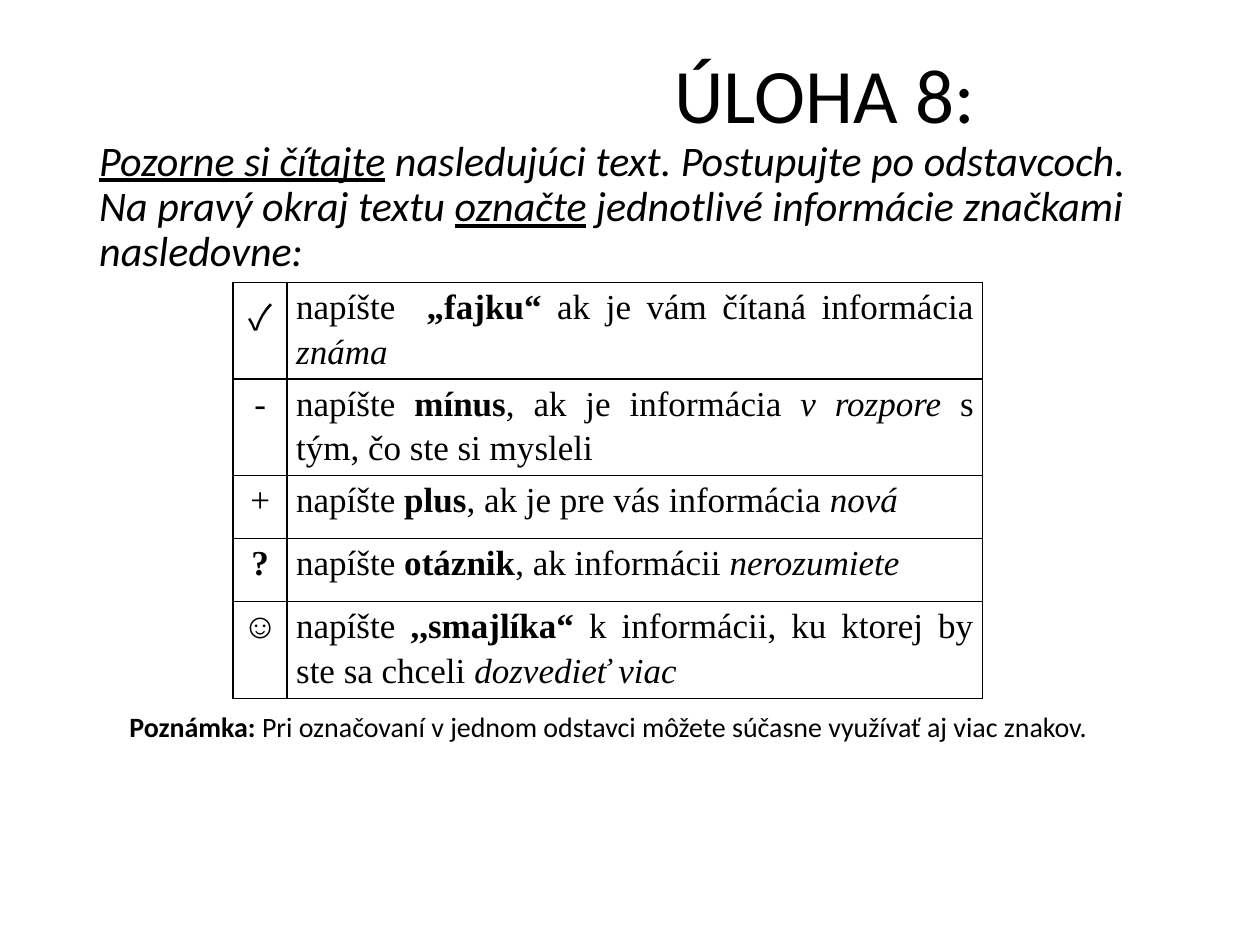
import lxml.etree
import pptx
import pptx.dml.color
import pptx.enum.text
import pptx.oxml.ns
import pptx.util
from pptx.util import Cm, Pt

BLACK = pptx.dml.color.RGBColor(0, 0, 0)
ALIGN = pptx.enum.text.PP_ALIGN
ANCHOR = pptx.enum.text.MSO_ANCHOR
SERIF = "Times New Roman"

INSTRUCTION = [
    ("Pozorne si čítajte", "underline"),
    (" nasledujúci text. Postupujte po odstavcoch. Na pravý okraj textu ", None),
    ("označte", "underline"),
    (" jednotlivé informácie značkami nasledovne:", None),
]
NOTE = [
    ("Poznámka:", "bold"),
    (" Pri označovaní v jednom odstavci môžete súčasne využívať aj viac znakov.", None),
]
# Each row: height in cm, mark, font of the mark, style of the mark, meaning
MARKS = [
    (1.8, "✓", "Noto Sans CJK JP", None,
     [("napíšte  ", None), ("„fajku“", "bold"),
      (" ak je vám čítaná informácia ", None), ("známa", "italic")]),
    (1.8, "-", SERIF, None,
     [("napíšte ", None), ("mínus", "bold"), (", ak je informácia ", None),
      ("v rozpore", "italic"), (" s tým, čo ste si mysleli", None)]),
    (1.27, "+", SERIF, None,
     [("napíšte ", None), ("plus", "bold"),
      (", ak je pre vás informácia ", None), ("nová", "italic")]),
    (1.27, "?", SERIF, "bold",
     [("napíšte ", None), ("otáznik", "bold"),
      (", ak informácii ", None), ("nerozumiete", "italic")]),
    (1.8, "☺", SERIF, None,
     [("napíšte ", None), (",,smajlíka“", "bold"),
      (" k informácii, ku ktorej by ste sa chceli", None),
      (" dozvedieť viac", "italic")]),
]


def write_runs(paragraph, runs, font_name, size):
    """Fill a paragraph with (text, style) runs; style names a font attribute."""
    paragraph.font.name = font_name
    paragraph.font.size = Pt(size)
    paragraph.font.color.rgb = BLACK
    for text, style in runs:
        run = paragraph.add_run()
        run.text = text
        if style:
            setattr(run.font, style, True)


def indent_first_line(paragraph, indent):
    paragraph._p.get_or_add_pPr().set("indent", str(indent))


def add_text_frame(slide, left, top, width, height):
    frame = slide.shapes.add_textbox(left, top, width, height).text_frame
    frame.word_wrap = True
    return frame


def add_heading(slide, left, top, width, height):
    frame = add_text_frame(slide, left, top, width, height)
    title = frame.paragraphs[0]
    indent_first_line(title, Cm(11.6))
    write_runs(title, [("ÚLOHA 8:", None)], "Calibri", 44)
    instruction = frame.add_paragraph()
    write_runs(instruction, INSTRUCTION, "Calibri", 24)
    instruction.font.italic = True
    for paragraph in frame.paragraphs:
        paragraph.line_spacing = 0.9


def add_borders(cell):
    properties = cell._tc.get_or_add_tcPr()
    for position, side in enumerate(("lnL", "lnR", "lnT", "lnB")):
        line = lxml.etree.Element(pptx.oxml.ns.qn(f"a:{side}"), w=str(Pt(1)))
        fill = lxml.etree.SubElement(line, pptx.oxml.ns.qn("a:solidFill"))
        lxml.etree.SubElement(fill, pptx.oxml.ns.qn("a:srgbClr"), val=str(BLACK))
        properties.insert(position, line)


def fill_cell(cell, runs, font_name, alignment):
    cell.margin_left = cell.margin_right = Cm(0.18)
    cell.margin_top = cell.margin_bottom = 0
    cell.fill.background()
    add_borders(cell)
    paragraph = cell.text_frame.paragraphs[0]
    paragraph.alignment = alignment
    paragraph.line_spacing = 1.15
    write_runs(paragraph, runs, font_name, 20)


def add_mark_table(slide, left, top, width, height):
    table = slide.shapes.add_table(len(MARKS), 2, left, top, width, height).table
    table.first_row = table.horz_banding = False
    mark_width = Cm(1.09)
    table.columns[0].width = mark_width
    table.columns[1].width = width - mark_width
    for index, (row_height, mark, mark_font, style, meaning) in enumerate(MARKS):
        table.rows[index].height = Cm(row_height)
        fill_cell(table.cell(index, 0), [(mark, style)], mark_font, ALIGN.CENTER)
        fill_cell(table.cell(index, 1), meaning, SERIF, ALIGN.JUSTIFY)


def add_note(slide, left, top, width, height):
    frame = add_text_frame(slide, left, top, width, height)
    frame.vertical_anchor = ANCHOR.MIDDLE
    paragraph = frame.paragraphs[0]
    paragraph.alignment = ALIGN.JUSTIFY
    indent_first_line(paragraph, Cm(0.12))
    write_runs(paragraph, NOTE, "Calibri", 16)


def main():
    presentation = pptx.Presentation()
    presentation.slide_width = Cm(25.4)
    presentation.slide_height = Cm(19.05)
    slide = presentation.slides.add_slide(presentation.slide_layouts[6])
    add_heading(slide, Cm(1.75), Cm(1.02), Cm(21.9), Cm(3.68))
    add_mark_table(slide, Cm(4.7), Cm(5.69), Cm(15.11), Cm(7.94))
    add_note(slide, Cm(2.24), Cm(14.17), Cm(22.15), Cm(0.94))
    presentation.save("out.pptx")


if __name__ == "__main__":
    main()
